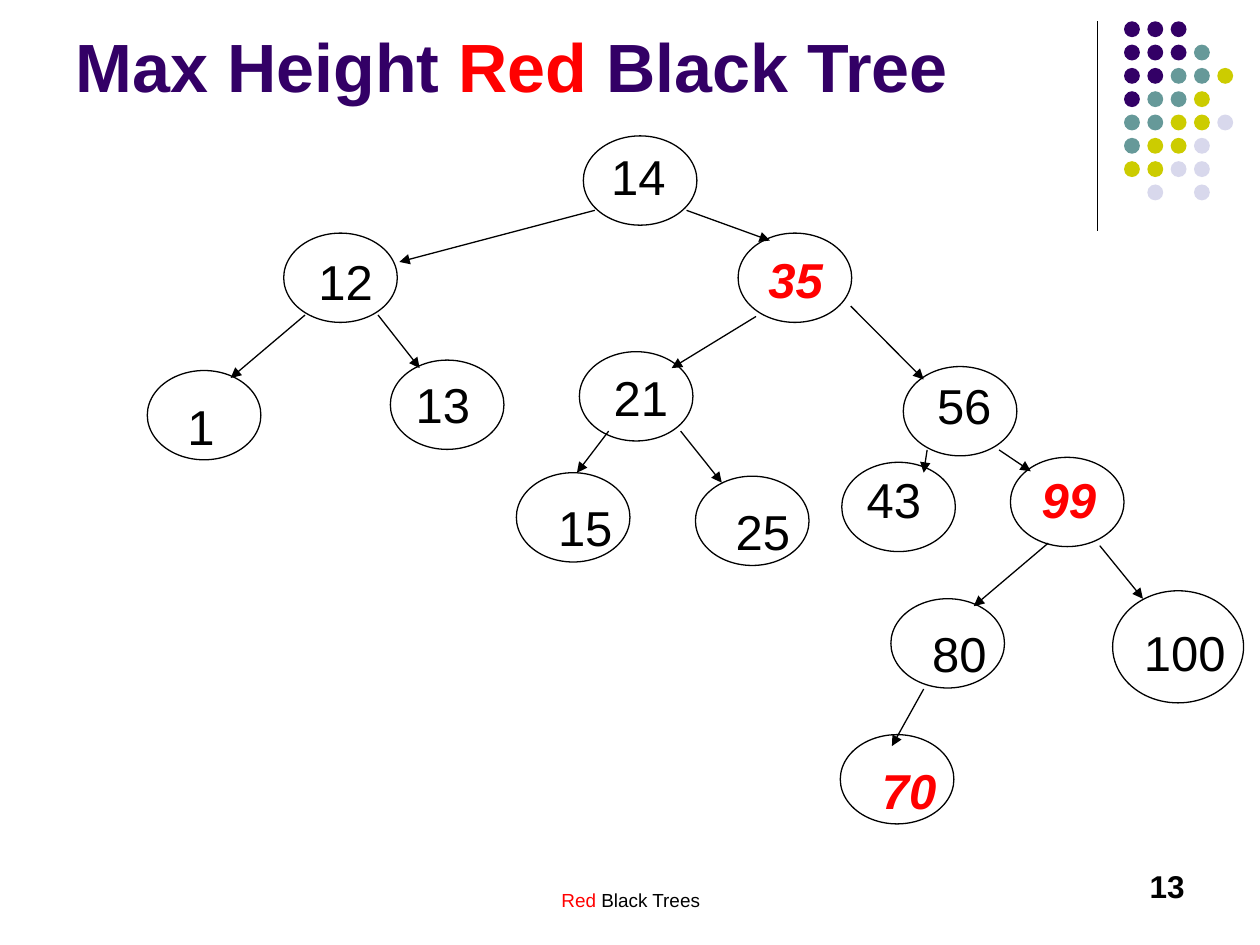
from lxml import etree
from pptx import Presentation
from pptx import util as u
from pptx.dml import color
from pptx.enum import shapes, text
from pptx.oxml import ns

COLORS = {"black": "000000", "red": "FF0000", "purple": "330066",
          "teal": "669999", "yellow": "CCCC00", "lilac": "D8D8EC"}
DOT_COLORS = {"P": "purple", "T": "teal", "Y": "yellow", "L": "lilac"}
DOT_ROWS = ["PPP", "PPPT", "PPTTY", "PTTY", "TTYYL", "TYYL", "YYLL", " L L"]
NODE_SIZE = (2.29, 1.8)
WIDE_NODE_SIZE = (2.64, 2.26)
RED_NODES = {"35", "99", "70"}

NODES = [
    ("14", (11.76, 2.74), (12.07, 2.82)),
    ("12", (5.72, 4.7), (6.17, 4.95)),
    ("35", (14.88, 4.7), (15.24, 4.9)),
    ("56", (18.21, 7.39), (18.64, 7.44)),
    ("43", (16.97, 9.32), (17.22, 9.35)),
    ("99", (20.37, 9.22), (20.75, 9.35)),
    ("21", (11.68, 7.09), (12.12, 7.29)),
    ("1", (2.97, 7.47), (3.53, 7.87)),
    ("13", (7.87, 7.26), (8.13, 7.42)),
    ("15", (10.41, 9.53), (11, 9.91)),
    ("25", (14.02, 9.6), (14.58, 9.98)),
    ("80", (17.96, 12.07), (18.54, 12.45)),
    ("100", (22.43, 11.91), (22.81, 12.42)),
    ("70", (16.94, 14.81), (17.53, 15.21)),
]
EDGES = [
    ((11.99, 4.24), (8.05, 5.28)),
    ((13.84, 4.24), (15.52, 4.85)),
    ((17.15, 6.17), (18.62, 7.65)),
    ((18.69, 9.07), (18.62, 9.53)),
    ((20.14, 9.07), (20.78, 9.5)),
    ((15.24, 6.38), (13.54, 7.42)),
    ((6.15, 6.35), (4.65, 7.62)),
    ((7.62, 6.35), (8.46, 7.42)),
    ((12.27, 8.69), (11.63, 9.53)),
    ((13.72, 8.69), (14.55, 9.73)),
    ((21.13, 10.95), (19.63, 12.22)),
    ((22.17, 11), (23.04, 12.07)),
    ((18.62, 13.89), (17.98, 15.04)),
]


class SlideBuilder:
    """Draws styled elements on the current slide."""

    def __init__(self, slide):
        self.slide = slide
        self.font_name = "Arial"
        self.line_width = u.Pt(0.75)

    def color(self, name):
        return color.RGBColor.from_string(COLORS[name])

    def add_runs(self, shape, runs, align=text.PP_ALIGN.LEFT, **font_format):
        paragraph = shape.text_frame.paragraphs[0]
        paragraph.alignment = align
        for words, color_name in runs:
            run = paragraph.add_run()
            run.text = words
            run.font.color.rgb = self.color(color_name)
            for name, value in {"name": self.font_name, **font_format}.items():
                setattr(run.font, name, value)

    def title(self, runs, left, top, width, height):
        shape = self.slide.shapes.title
        box = {"left": left, "top": top, "width": width, "height": height}
        for name, value in box.items():
            setattr(shape, name, u.Cm(value))
        frame_format = {"vertical_anchor": text.MSO_ANCHOR.BOTTOM,
                        "auto_size": text.MSO_AUTO_SIZE.NONE, "word_wrap": True}
        for name, value in frame_format.items():
            setattr(shape.text_frame, name, value)
        self.add_runs(shape, runs, size=u.Pt(39), bold=True)

    def label(self, runs, left, top, width, height, wrap=True, **text_format):
        shape = self.slide.shapes.add_textbox(*map(u.Cm, (left, top, width, height)))
        shape.text_frame.word_wrap = wrap
        if not wrap:
            shape.text_frame.auto_size = text.MSO_AUTO_SIZE.SHAPE_TO_FIT_TEXT
        self.add_runs(shape, runs, **text_format)

    def ellipse(self, left, top, width, height, fill=None):
        shape = self.slide.shapes.add_shape(
            shapes.MSO_SHAPE.OVAL, *map(u.Cm, (left, top, width, height)))
        shape.shadow.inherit = False
        if fill:
            shape.fill.solid()
            shape.fill.fore_color.rgb = self.color(fill)
            shape.line.fill.background()
        else:
            shape.fill.background()
            shape.line.color.rgb = self.color("black")
            shape.line.width = self.line_width

    def line(self, start, end, arrow=False):
        connector = self.slide.shapes.add_connector(
            shapes.MSO_CONNECTOR.STRAIGHT, *map(u.Cm, (*start, *end)))
        connector.line.color.rgb = self.color("black")
        connector.line.width = self.line_width
        properties = connector._element.spPr
        if arrow:
            outline = properties.find(ns.qn("a:ln"))
            etree.SubElement(outline, ns.qn("a:tailEnd"), type="triangle")
        etree.SubElement(properties, ns.qn("a:effectLst"))

    def node(self, value, corner, label_corner):
        is_red = value in RED_NODES
        self.ellipse(*corner, *(WIDE_NODE_SIZE if len(value) > 2 else NODE_SIZE))
        self.label([(value, "red" if is_red else "black")], *label_corner,
                   1.04 + 0.56 * (len(value) - 1), 1.45, wrap=False,
                   size=u.Pt(28), bold=is_red, italic=is_red)

    def dot_grid(self, left, top, pitch, size):
        for row, keys in enumerate(DOT_ROWS):
            for column, key in enumerate(keys):
                if key in DOT_COLORS:
                    self.ellipse(left + column * pitch, top + row * pitch,
                                 size, size, DOT_COLORS[key])


def main():
    presentation = Presentation()
    presentation.slide_width = u.Cm(25.4)
    presentation.slide_height = u.Cm(19.05)
    slide = presentation.slides.add_slide(presentation.slide_layouts[5])
    builder = SlideBuilder(slide)

    builder.line((22.12, 0.43), (22.12, 4.65))
    builder.dot_grid(22.66, 0.43, 0.47, 0.32)
    builder.title([("Max Height ", "purple"), ("Red", "red"),
                   (" Black Tree", "purple")], 1.27, 0.33, 20.9, 1.93)
    builder.label([("Red", "red"), (" Black Trees", "black")], 8.69, 17.79, 8.05, 0.83,
                  align=text.PP_ALIGN.CENTER, size=u.Pt(10.8))
    builder.label([("13", "black")], 18.21, 17.35, 5.92, 1.27,
                  align=text.PP_ALIGN.RIGHT, size=u.Pt(18), bold=True)
    for node in NODES:
        builder.node(*node)
    for start, end in EDGES:
        builder.line(start, end, arrow=True)

    presentation.save("out.pptx")


if __name__ == "__main__":
    main()
